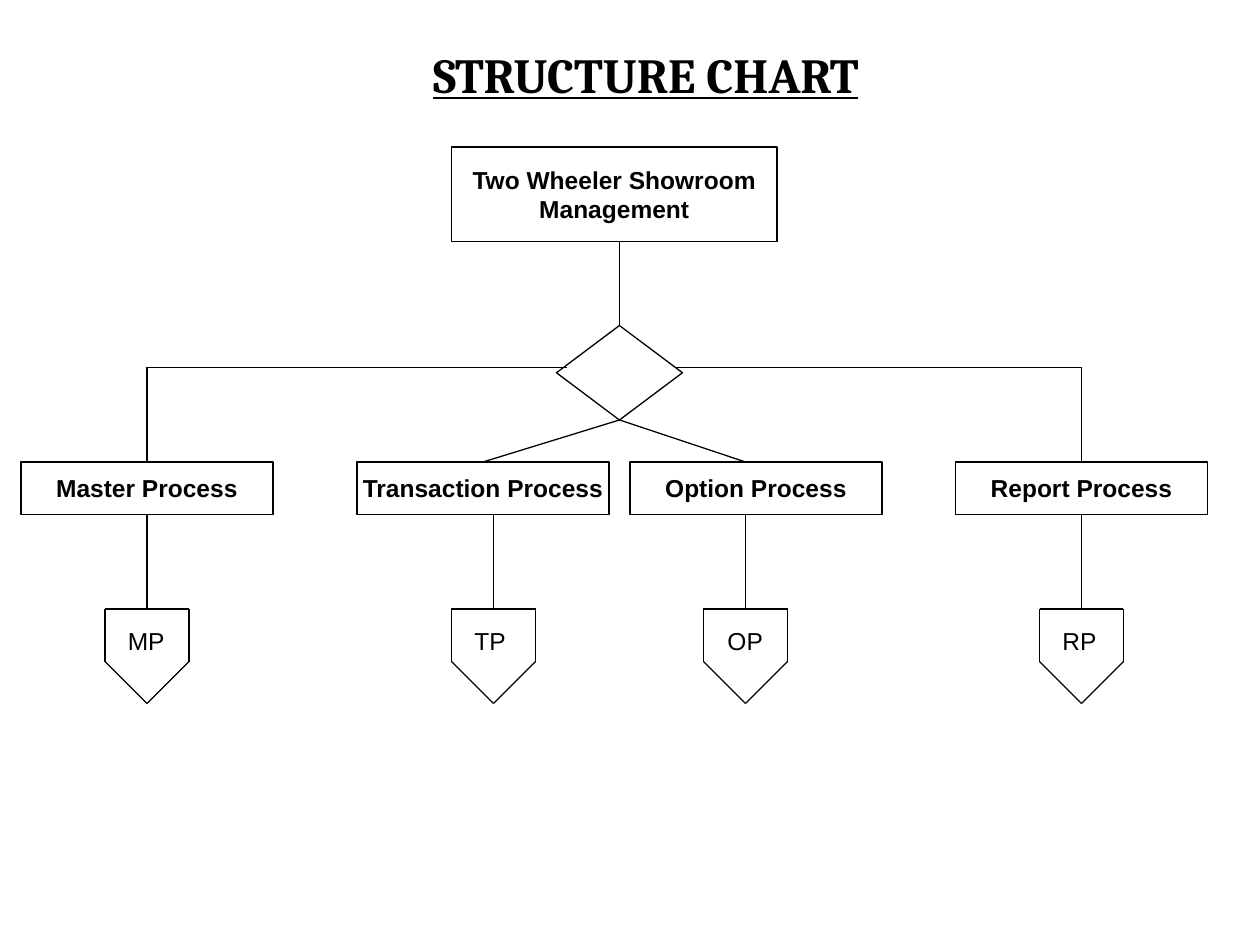
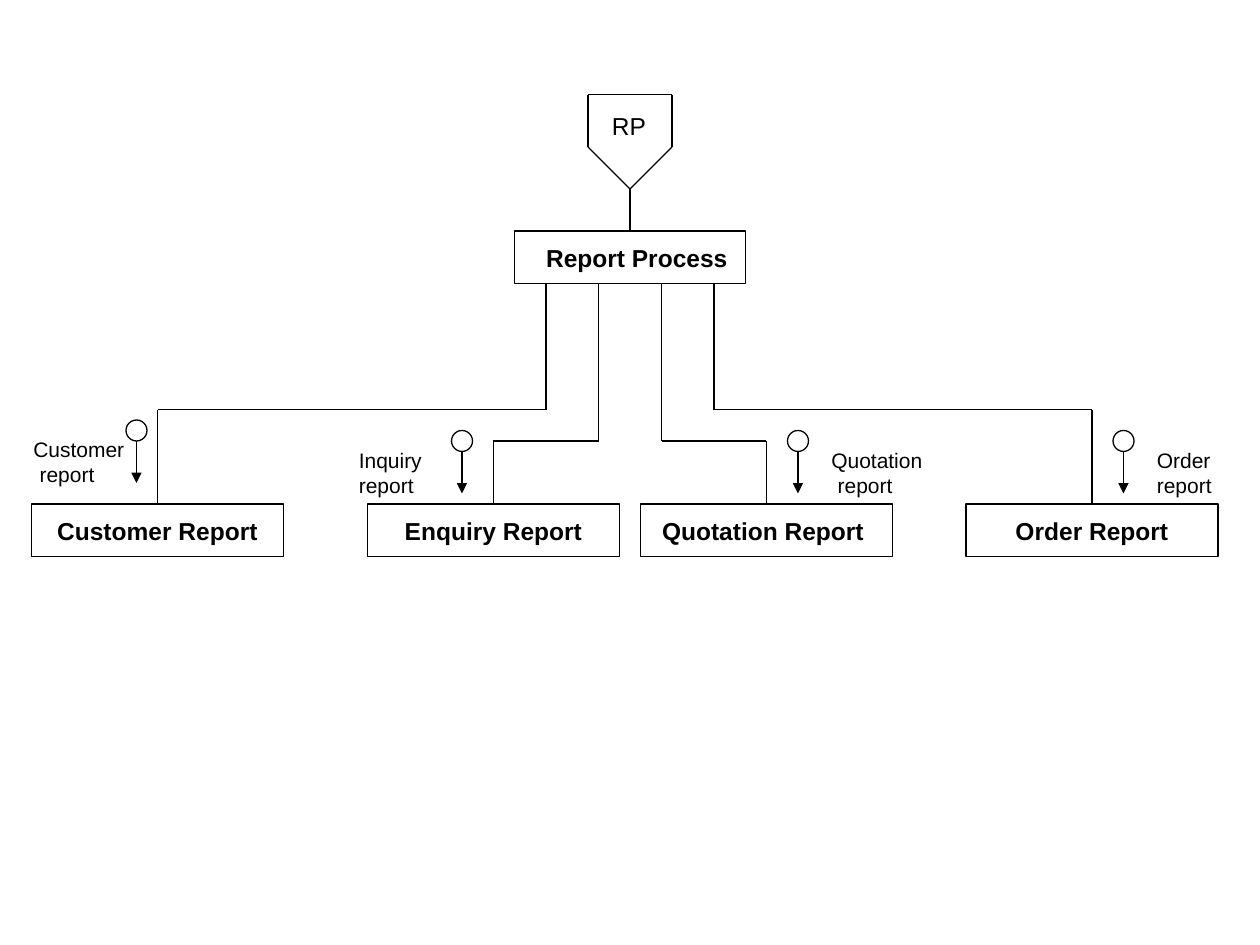
import dataclasses
import itertools
import typing

import lxml.etree
import pptx
import pptx.dml.color
import pptx.enum.shapes
import pptx.enum.text
import pptx.oxml.ns
import pptx.util

EMU_PER_PX = 7620
BLACK = pptx.dml.color.RGBColor(0, 0, 0)
WHITE = pptx.dml.color.RGBColor(255, 255, 255)
BODY_FONT = "Arial"
TITLE_FONT = "Cambria"
OUTLINE = pptx.util.Pt(0.75)
PROCESS_WIDTH = 240
PROCESS_HEIGHT = 50
OFFPAGE_WIDTH = 80
OFFPAGE_SIDE = 50
OFFPAGE_HEIGHT = 90
FLAG_SIZE = 20

PRESET = pptx.enum.shapes.MSO_SHAPE
ALIGN = pptx.enum.text.PP_ALIGN
ANCHOR = pptx.enum.text.MSO_ANCHOR
Point = tuple[int, int]


class Line(typing.NamedTuple):
    text: str
    indent: int = 0


@dataclasses.dataclass(frozen=True)
class Block:
    left: int
    top: int
    width: int
    height: int
    lines: tuple[Line, ...] = ()
    preset: PRESET = PRESET.FLOWCHART_PROCESS

    @property
    def sites(self) -> list[Point]:
        middle_x = self.left + self.width // 2
        middle_y = self.top + self.height // 2
        return [
            (middle_x, self.top),
            (self.left, middle_y),
            (middle_x, self.top + self.height),
            (self.left + self.width, middle_y),
        ]


@dataclasses.dataclass(frozen=True)
class Offpage:
    center: int
    top: int
    code: str
    code_left: int


@dataclasses.dataclass(frozen=True)
class Report:
    process: Block
    trunk_x: int
    elbow_y: int
    flag_x: int
    flag_top: int
    label_left: int
    label: tuple[Line, ...]


class Drawn(typing.NamedTuple):
    block: Block
    shape: typing.Any


def px(length: int) -> pptx.util.Emu:
    return pptx.util.Emu(length * EMU_PER_PX)


def process(left: int, top: int, text: str) -> Block:
    return Block(left, top, PROCESS_WIDTH, PROCESS_HEIGHT, (Line(text),))


def write(frame: typing.Any, lines: typing.Sequence[Line], size: int, bold: bool = False,
          align: ALIGN = ALIGN.CENTER, anchor: ANCHOR = ANCHOR.MIDDLE,
          font: str = BODY_FONT, wrap: bool = False) -> None:
    frame.word_wrap = wrap
    frame.vertical_anchor = anchor
    for index, line in enumerate(lines):
        paragraph = frame.paragraphs[0] if index == 0 else frame.add_paragraph()
        paragraph.text = line.text
        paragraph.alignment = align
        if line.indent:
            paragraph._p.get_or_add_pPr().set("indent", str(px(line.indent)))
        paragraph.font.name = font
        paragraph.font.size = pptx.util.Pt(size)
        paragraph.font.bold = bold
        paragraph.font.color.rgb = BLACK


def draw_label(slide: typing.Any, left: int, top: int, width: int, height: int,
               lines: typing.Sequence[Line], size: int) -> None:
    label = slide.shapes.add_textbox(px(left), px(top), px(width), px(height))
    write(label.text_frame, lines, size, align=ALIGN.LEFT, anchor=ANCHOR.TOP, wrap=True)
    label.text_frame.margin_right = 0


def draw_block(slide: typing.Any, block: Block) -> Drawn:
    shape = slide.shapes.add_shape(
        block.preset, px(block.left), px(block.top), px(block.width), px(block.height))
    shape.shadow.inherit = False
    shape.fill.solid()
    shape.fill.fore_color.rgb = WHITE
    shape.line.color.rgb = BLACK
    shape.line.width = OUTLINE
    if block.lines:
        write(shape.text_frame, block.lines, 14, bold=True)
    return Drawn(block, shape)


def draw_line(slide: typing.Any, start: Point, end: Point,
              joints: typing.Sequence[Drawn] = (), arrow: bool = False) -> None:
    connector = slide.shapes.add_connector(
        pptx.enum.shapes.MSO_CONNECTOR.STRAIGHT, *map(px, start + end))
    connector.line.color.rgb = BLACK
    connector.line.width = OUTLINE
    if arrow:
        lxml.etree.SubElement(
            connector.line._get_or_add_ln(), pptx.oxml.ns.qn("a:tailEnd"), type="triangle")
    lxml.etree.SubElement(connector._element.spPr, pptx.oxml.ns.qn("a:effectLst"))
    for block, shape in joints:
        if start in block.sites:
            connector.begin_connect(shape, block.sites.index(start))
        if end in block.sites:
            connector.end_connect(shape, block.sites.index(end))


def draw_offpage(slide: typing.Any, offpage: Offpage) -> None:
    left, right = offpage.center - OFFPAGE_WIDTH // 2, offpage.center + OFFPAGE_WIDTH // 2
    shoulder = offpage.top + OFFPAGE_SIDE
    corners = [
        (left, offpage.top),
        (right, offpage.top),
        (right, shoulder),
        (offpage.center, offpage.top + OFFPAGE_HEIGHT),
        (left, shoulder),
        (left, offpage.top),
    ]
    for start, end in itertools.pairwise(corners):
        draw_line(slide, start, end)
    draw_label(slide, offpage.code_left, offpage.top + 10, 60, 40, [Line(offpage.code)], 14)


def draw_title(slide: typing.Any, text: str) -> None:
    title = slide.shapes.add_textbox(px(270), px(60), px(690), px(20))
    write(title.text_frame, [Line(text)], 28, bold=True, font=TITLE_FONT, wrap=True)
    title.text_frame.paragraphs[0].font.underline = True


def draw_flag(slide: typing.Any, report: Report) -> None:
    middle = report.flag_top + FLAG_SIZE // 2
    draw_line(slide, (report.flag_x, middle), (report.flag_x, middle + 50), arrow=True)
    draw_block(slide, Block(report.flag_x - FLAG_SIZE // 2, report.flag_top,
                            FLAG_SIZE, FLAG_SIZE, preset=PRESET.OVAL))
    draw_label(slide, report.label_left, middle, 110, 60, report.label, 12)


SYSTEM = Block(430, 140, 310, 90, (Line("Two Wheeler Showroom"), Line("Management", -13)))
DECISION = Block(530, 310, 120, 90, preset=PRESET.DIAMOND)
PROCESSES = [
    (process(20, 440, "Master Process"), Offpage(140, 580, "MP", 110)),
    (process(340, 440, "Transaction Process"), Offpage(470, 580, "TP", 440)),
    (process(600, 440, "Option Process"), Offpage(710, 580, "OP", 681)),
    (process(910, 440, "Report Process"), Offpage(1030, 580, "RP", 1000)),
]

REPORT_ENTRY = Offpage(600, 90, "RP", 571)
REPORT_PROCESS = Block(490, 220, 220, PROCESS_HEIGHT, (Line("Report Process", 13),))
REPORTS = [
    Report(process(30, 480, "Customer Report"), 520, 390, 130, 400, 20,
           (Line("Customer"), Line("report", 6))),
    Report(process(350, 480, "Enquiry Report"), 570, 420, 440, 410, 330,
           (Line("Inquiry"), Line("report"))),
    Report(process(610, 480, "Quotation Report "), 630, 420, 760, 410, 780,
           (Line("Quotation"), Line("report", 6))),
    Report(process(920, 480, "Order Report"), 680, 390, 1070, 410, 1090,
           (Line("Order"), Line("report"))),
]


def structure_chart(slide: typing.Any) -> None:
    branch_y = 350
    draw_title(slide, "STRUCTURE CHART")
    draw_line(slide, (640, branch_y), (1030, branch_y))
    system = draw_block(slide, SYSTEM)
    decision = draw_block(slide, DECISION)
    decision_top, _, decision_bottom, _ = DECISION.sites
    draw_line(slide, decision_top, (decision_top[0], 230), [system, decision])
    draw_line(slide, (140, branch_y), (540, branch_y))
    branch_starts = [(140, branch_y), decision_bottom, decision_bottom, (1030, branch_y)]
    branch_ends = [140, 460, 710, 1030]
    for (block, offpage), start, end_x in zip(PROCESSES, branch_starts, branch_ends):
        drawn = draw_block(slide, block)
        draw_line(slide, start, (end_x, block.top), [decision, drawn])
        draw_line(slide, (offpage.center, offpage.top),
                  (offpage.center, block.top + block.height), [drawn])
        draw_offpage(slide, offpage)


def report_chart(slide: typing.Any) -> None:
    draw_offpage(slide, REPORT_ENTRY)
    root = draw_block(slide, REPORT_PROCESS)
    entry_tip = (REPORT_ENTRY.center, REPORT_ENTRY.top + OFFPAGE_HEIGHT)
    draw_line(slide, REPORT_PROCESS.sites[0], entry_tip, [root])
    root_bottom = REPORT_PROCESS.top + REPORT_PROCESS.height
    for report in REPORTS:
        drawn = draw_block(slide, report.process)
        process_top = report.process.sites[0]
        trunk_end = (report.trunk_x, report.elbow_y)
        elbow = (process_top[0], report.elbow_y)
        draw_line(slide, (report.trunk_x, root_bottom), trunk_end)
        draw_line(slide, trunk_end, elbow)
        draw_line(slide, elbow, process_top, [drawn])
        draw_flag(slide, report)


def main() -> None:
    deck = pptx.Presentation()
    deck.slide_width, deck.slide_height = px(1200), px(900)
    for build in (structure_chart, report_chart):
        build(deck.slides.add_slide(deck.slide_layouts[6]))
    deck.save("out.pptx")


if __name__ == "__main__":
    main()
